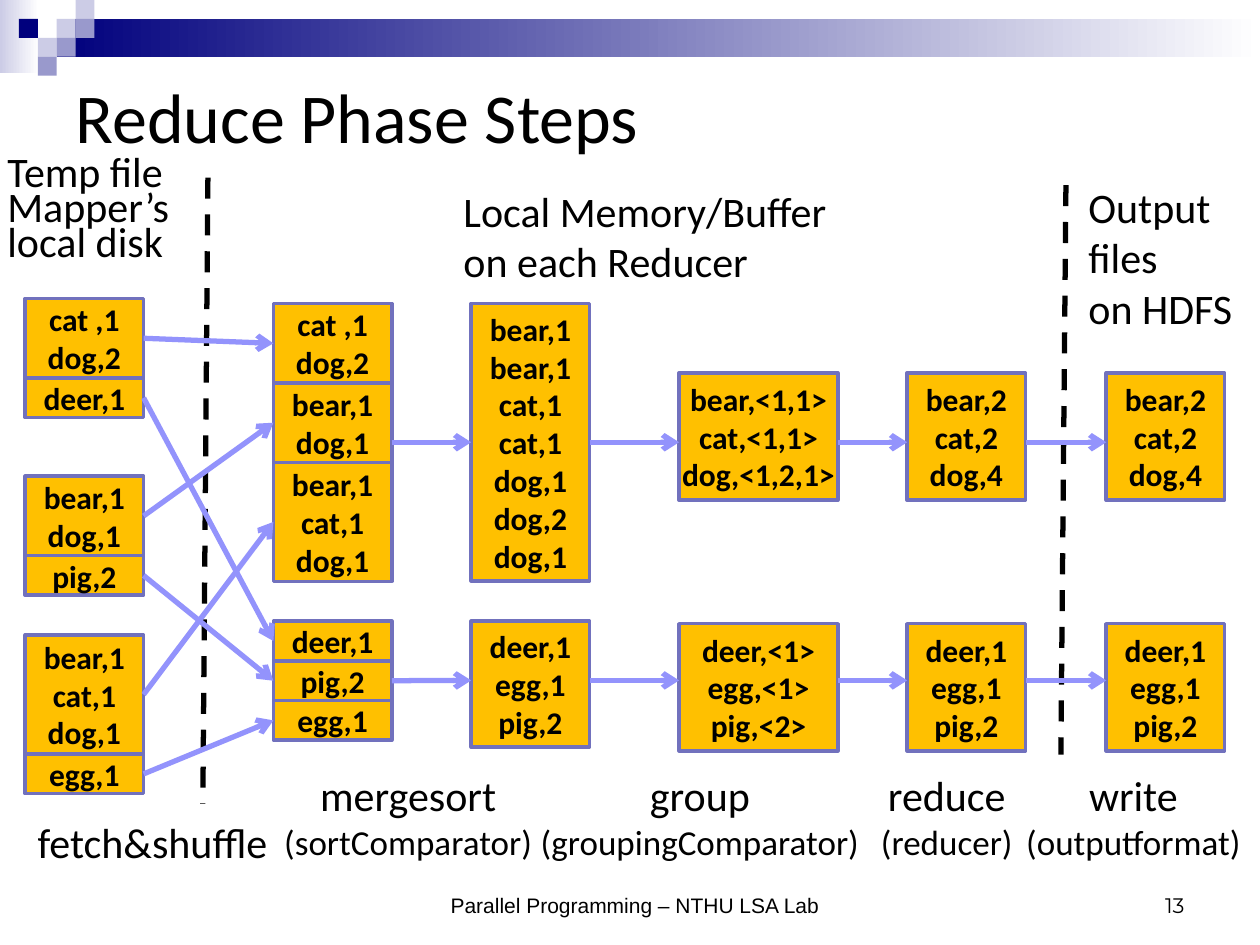
from dataclasses import dataclass

from lxml import etree
from pptx import Presentation
from pptx import util as u
from pptx.dml.color import RGBColor
from pptx.enum import dml, shapes, text
from pptx.oxml import ns


@dataclass(frozen=True)
class Theme:
    ink: str = "000000"
    cell: str = "FFC000"
    border: str = "7171BD"
    arrow: str = "9393FC"
    navy: str = "00007D"
    lilac: str = "9999CC"
    pale: str = "CCCCE6"
    white: str = "FFFFFF"
    font: str = "Calibri"
    footer_font: str = "Arial"
    number_font: str = "Montserrat"
    title: int = 40
    label: int = 24
    detail: int = 20
    pair: int = 18
    footer: int = 12


THEME = Theme()
LINE_HEIGHT = 0.315
CELL_WIDTH = 0.94
ALIGN = text.PP_ALIGN
ANCHOR = text.MSO_ANCHOR


def color(code):
    return RGBColor.from_string(code)


def inches(box):
    return [u.Inches(value) for value in box]


def write(frame, lines, sizes=(THEME.label,), font=THEME.font, bold=False,
          align=ALIGN.LEFT, anchor=ANCHOR.TOP, spacing=None):
    """Fill a text frame; the last size serves all remaining lines."""
    frame.word_wrap = True
    frame.vertical_anchor = anchor
    for index, line in enumerate(lines):
        para = frame.paragraphs[0] if index == 0 else frame.add_paragraph()
        para.alignment = align
        if spacing:
            para.line_spacing = u.Pt(spacing)
        span = para.add_run()
        span.text = line
        span.font.name = font
        span.font.size = u.Pt(sizes[min(index, len(sizes) - 1)])
        span.font.bold = bold
        span.font.color.rgb = color(THEME.ink)


def add_label(page, box, lines, **style):
    write(page.shapes.add_textbox(*inches(box)).text_frame, lines, **style)


def add_block(page, box, fill, fade=False):
    block = page.shapes.add_shape(shapes.MSO_SHAPE.RECTANGLE, *inches(box))
    block.shadow.inherit = False
    block.line.fill.background()
    if fade:
        block.fill.gradient()
        block.fill.gradient_angle = 0
        for stop, code in zip(block.fill.gradient_stops, (fill, THEME.white)):
            stop.color.rgb = color(code)
    else:
        block.fill.solid()
        block.fill.fore_color.rgb = color(fill)
    return block


def add_cell(page, box, lines, tight=False):
    cell = add_block(page, box, THEME.cell)
    cell.line.color.rgb = color(THEME.border)
    cell.line.width = u.Pt(2)
    if tight:
        cell.text_frame.margin_left = cell.text_frame.margin_right = 0
    write(cell.text_frame, lines, sizes=(THEME.pair,), bold=True,
          align=ALIGN.CENTER, anchor=ANCHOR.MIDDLE)
    return cell


def add_stack(page, left, top, groups):
    """Stack touching cells, each as high as its number of key,value pairs."""
    cells = []
    for lines in groups:
        height = LINE_HEIGHT * "".join(lines).count(",")
        cells.append(add_cell(page, (left, top, CELL_WIDTH, height), lines))
        top += height
    return cells


def add_line(page, start, end, code):
    line = page.shapes.add_connector(shapes.MSO_CONNECTOR.STRAIGHT, *start, *end)
    line.line.color.rgb = color(code)
    line.line.width = u.Pt(3)
    etree.SubElement(line._element.spPr, ns.qn("a:effectLst"))
    return line


def add_divider(page, start, end):
    line = add_line(page, inches(start), inches(end), THEME.ink)
    line.line.dash_style = dml.MSO_LINE.DASH


def add_arrow(page, source, target, level=None):
    """Join two cells, at a fixed level if given, glued at side middles."""
    begin_mid = source.top + source.height // 2
    end_mid = target.top + target.height // 2
    begin_y = begin_mid if level is None else u.Inches(level)
    end_y = end_mid if level is None else u.Inches(level)
    arrow = add_line(page, (source.left + source.width, begin_y),
                     (target.left, end_y), THEME.arrow)
    etree.SubElement(arrow.line._get_or_add_ln(), ns.qn("a:tailEnd"), type="arrow")
    tolerance = u.Inches(0.01)
    if abs(begin_y - begin_mid) < tolerance:
        arrow.begin_connect(source, 3)
    if abs(end_y - end_mid) < tolerance:
        arrow.end_connect(target, 1)


def add_banner(page, left, top, width):
    step = 0.15
    add_block(page, (left, top, 0.31, 0.58), THEME.pale, fade=True)
    add_block(page, (left + 3 * step, top + step, width - 3 * step, 2 * step),
              THEME.navy, fade=True)
    squares = [(3, 1, THEME.pale), (4, 0, THEME.pale), (4, 1, THEME.lilac),
               (2, 2, THEME.pale), (1, 1, THEME.navy), (3, 2, THEME.lilac),
               (2, 3, THEME.lilac)]
    for column, row, code in squares:
        add_block(page, (left + column * step, top + row * step, step, step), code)


def add_title(page, box, words):
    title = page.shapes.title
    title.left, title.top, title.width, title.height = inches(box)
    write(title.text_frame, [words], sizes=(THEME.title,), anchor=ANCHOR.MIDDLE)


def add_footer(page, top, height):
    add_label(page, (3.08, top, 3.92, height), ["Parallel Programming – NTHU LSA Lab"],
              sizes=(THEME.footer,), font=THEME.footer_font,
              align=ALIGN.CENTER, anchor=ANCHOR.BOTTOM)
    add_label(page, (7.17, top, 2.33, height), ["13"], sizes=(THEME.footer,),
              font=THEME.number_font, align=ALIGN.RIGHT, anchor=ANCHOR.BOTTOM)


def add_shuffle(page, left, target_left):
    """Mapper files on the left, reducer buffers on the right."""
    mapper_files = [
        (2.37, [["cat ,1", "dog,2"], ["deer,1"]]),
        (3.78, [["bear,1", "dog,1"], ["pig,2"]]),
        (5.04, [["bear,1 cat,1", "dog,1"], ["egg,1"]]),
    ]
    # Each file sends its first part to one reducer, its second to the other
    first_parts = [groups[0] for _, groups in mapper_files]
    second_parts = [groups[1] for _, groups in mapper_files]
    buffers = [add_stack(page, target_left, 2.41, first_parts),
               add_stack(page, target_left, 4.93, second_parts)]
    for index, (top, groups) in enumerate(mapper_files):
        for part, buffer in zip(add_stack(page, left, top, groups), buffers):
            add_arrow(page, part, buffer[index])
    return [buffer[1] for buffer in buffers]


def add_reducer_row(page, source, level, steps):
    """Chain the later steps of one reducer with level arrows."""
    for box, lines, tight in steps:
        target = add_cell(page, box, lines, tight)
        add_arrow(page, source, target, level)
        source = target


def add_step_names(page, top):
    add_label(page, (0.2, 6.43, 2.45, 0.5), ["fetch&shuffle"])
    names = [(2.01, 2.46, "mergesort", "(sortComparator)"),
             (3.27, 4.57, "group", "(groupingComparator)"),
             (6.65, 1.73, "reduce", "(reducer)"),
             (7.99, 2.01, "write", "(outputformat)")]
    for left, width, *lines in names:
        add_label(page, (left, top, width, 0.84), lines,
                  sizes=(THEME.label, THEME.detail), align=ALIGN.CENTER)


def add_places(page):
    """Name the storage areas and divide them."""
    add_label(page, (-0.04, 1.23, 1.97, 0.96),
              ["Temp file Mapper’s", "local disk"], spacing=20)
    add_label(page, (3.58, 1.42, 3.35, 0.91), ["Local Memory/Buffer on each Reducer"])
    add_label(page, (8.54, 1.39, 1.46, 1.31), ["Output files", "on HDFS"])
    add_divider(page, (1.65, 1.41), (1.61, 6.38))
    add_divider(page, (8.46, 1.47), (8.42, 5.99))


def main():
    deck = Presentation()
    deck.slide_width, deck.slide_height = u.Inches(10), u.Inches(7.5)
    page = deck.slides.add_slide(deck.slide_layouts[5])

    add_banner(page, 0, 0, 10)
    add_title(page, (0.5, 0.5, 9, 0.83), "Reduce Phase Steps")
    add_footer(page, 6.83, 0.5)
    add_places(page)
    sources = add_shuffle(page, 0.2, 2.17)

    # Level, sort box top and height, later tops, then sorted, grouped, reduced
    rows = [
        (3.51, 2.41, 2.2, 2.96,
         ["bear,1", "bear,1 cat,1", "cat,1", "dog,1", "dog,2", "dog,1"],
         ["bear,<1,1>", "cat,<1,1>", "dog,<1,2,1>"],
         ["bear,2", "cat,2", "dog,4"]),
        (5.4, 4.93, 1, 4.95,
         ["deer,1", "egg,1", "pig,2"],
         ["deer,<1>", "egg,<1>", "pig,<2>"],
         ["deer,1", "egg,1", "pig,2"]),
    ]
    for source, row in zip(sources, rows):
        level, sort_top, sort_height, top, merged, grouped, reduced = row
        add_reducer_row(page, source, level, [
            ((3.74, sort_top, CELL_WIDTH, sort_height), merged, False),
            ((5.39, top, 1.26, 1.01), grouped, True),
            ((7.2, top, CELL_WIDTH, 1.01), reduced, True),
            ((8.78, top, CELL_WIDTH, 1.01), reduced, True),
        ])
    add_step_names(page, 6.06)
    deck.save("out.pptx")


if __name__ == "__main__":
    main()
